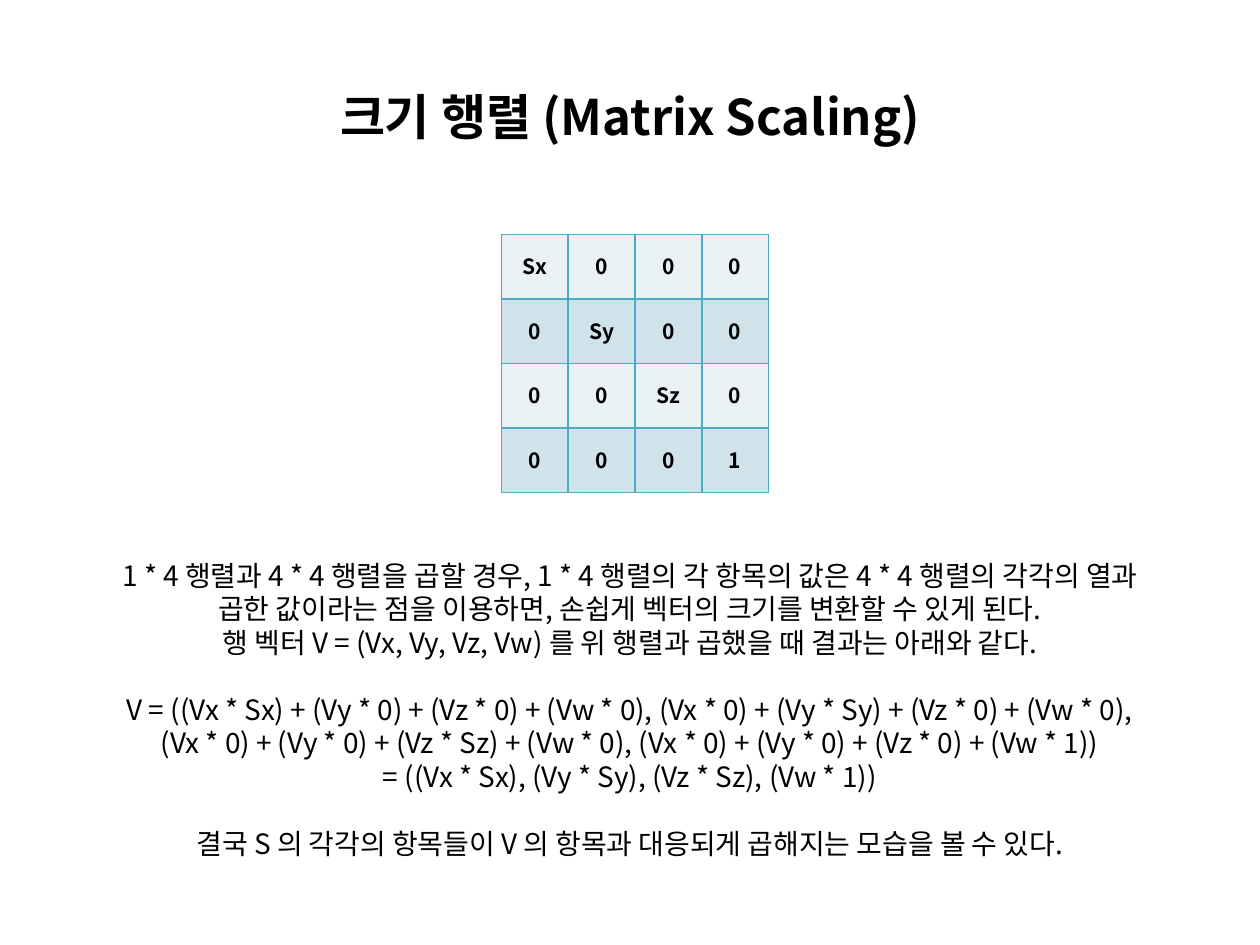
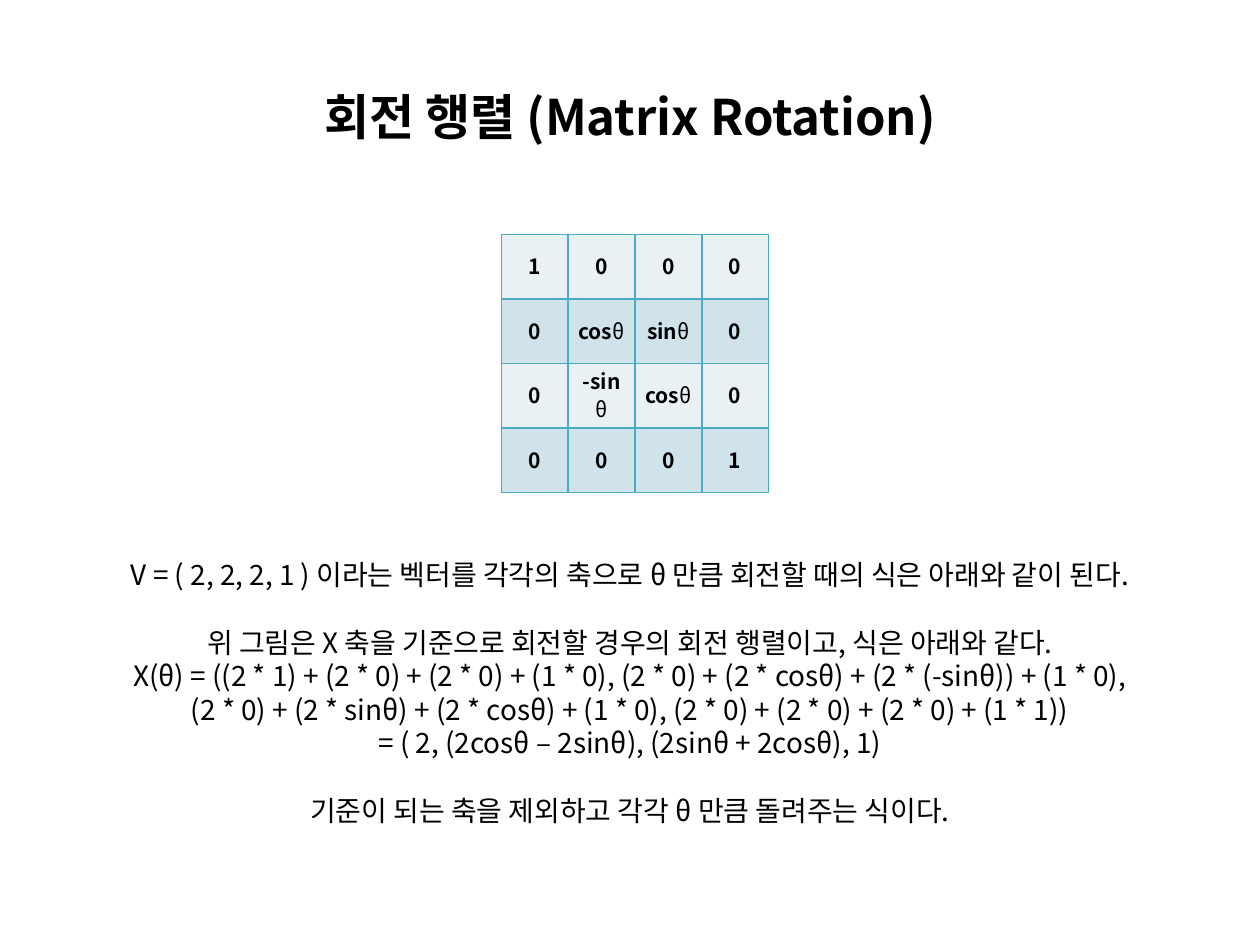
from lxml import etree
from pptx import Presentation
from pptx.dml.color import RGBColor
from pptx.enum import text
from pptx.oxml import ns
from pptx.util import Inches, Pt

FONT = "Noto Sans CJK KR"
BLACK = "000000"
GRID = "4BACC6"
BANDS = ("E9F1F5", "D0E3EA")
CELL = {"size": 12, "leading": 16, "bold": True}
TITLE = {"size": 28, "leading": 36, "bold": True}
BODY = {"size": 16, "leading": 19.2, "bold": False}

SCALING = {
    "title": "크기 행렬 (Matrix Scaling)",
    "matrix": ["Sx 0 0 0", "0 Sy 0 0", "0 0 Sz 0", "0 0 0 1"],
    "height": 2.52,
    "blocks": [
        [
            "1 * 4 행렬과 4 * 4 행렬을 곱할 경우, 1 * 4 행렬의 각 항목의 값은 4 * 4 행렬의 각각의 열과",
            "곱한 값이라는 점을 이용하면, 손쉽게 벡터의 크기를 변환할 수 있게 된다.",
            "행 벡터 V = (Vx, Vy, Vz, Vw) 를 위 행렬과 곱했을 때 결과는 아래와 같다.",
        ],
        [
            "V = ((Vx * Sx) + (Vy * 0) + (Vz * 0) + (Vw * 0), (Vx * 0) + (Vy * Sy) + (Vz * 0) + (Vw * 0),",
            "(Vx * 0) + (Vy * 0) + (Vz * Sz) + (Vw * 0), (Vx * 0) + (Vy * 0) + (Vz * 0) + (Vw * 1))",
            "= ((Vx * Sx), (Vy * Sy), (Vz * Sz), (Vw * 1))",
        ],
        ["결국 S 의 각각의 항목들이 V 의 항목과 대응되게 곱해지는 모습을 볼 수 있다."],
    ],
}
ROTATION = {
    "title": "회전 행렬 (Matrix Rotation)",
    "matrix": ["1 0 0 0", "0 cosθ sinθ 0", "0 -sinθ cosθ 0", "0 0 0 1"],
    "height": 2.26,
    "blocks": [
        ["V = ( 2, 2, 2, 1 ) 이라는 벡터를 각각의 축으로 θ 만큼 회전할 때의 식은 아래와 같이 된다."],
        [
            "위 그림은 X 축을 기준으로 회전할 경우의 회전 행렬이고, 식은 아래와 같다.",
            "X(θ) = ((2 * 1) + (2 * 0) + (2 * 0) + (1 * 0), (2 * 0) + (2 * cosθ) + (2 * (-sinθ)) + (1 * 0),",
            "(2 * 0) + (2 * sinθ) + (2 * cosθ) + (1 * 0), (2 * 0) + (2 * 0) + (2 * 0) + (1 * 1))",
            "= ( 2, (2cosθ – 2sinθ), (2sinθ + 2cosθ), 1)",
        ],
        ["기준이 되는 축을 제외하고 각각 θ 만큼 돌려주는 식이다."],
    ],
}


def color(value):
    return RGBColor.from_string(value)


def set_attributes(target, values):
    for name, value in values.items():
        setattr(target, name, value)


def add_run(paragraph, words, size, bold):
    run = paragraph.add_run()
    run.text = words
    set_attributes(run.font, {"name": FONT, "size": Pt(size), "bold": bold})
    run.font.color.rgb = color(BLACK)
    east_asian = etree.SubElement(run.font._element, ns.qn("a:ea"))
    east_asian.set("typeface", FONT)


def format_paragraph(paragraph, style, gap=0):
    set_attributes(paragraph, {
        "alignment": text.PP_ALIGN.CENTER,
        "line_spacing": Pt(style["leading"]),
        "space_before": Pt(gap),
        "space_after": Pt(0),
    })


def format_frame(frame):
    set_attributes(frame, {
        "word_wrap": True,
        "auto_size": text.MSO_AUTO_SIZE.NONE,
        "vertical_anchor": text.MSO_ANCHOR.TOP,
    })


def add_title(slide, words):
    title = slide.shapes.title
    set_attributes(title, {
        "left": Inches(0), "top": Inches(0.6),
        "width": Inches(10), "height": Inches(0.57),
    })
    format_frame(title.text_frame)
    paragraph = title.text_frame.paragraphs[0]
    format_paragraph(paragraph, TITLE)
    add_run(paragraph, words, TITLE["size"], TITLE["bold"])


def add_borders(cell):
    properties = cell._tc.get_or_add_tcPr()
    for side in ("lnL", "lnR", "lnT", "lnB"):
        line = etree.SubElement(properties, ns.qn(f"a:{side}"), w=str(Pt(1)))
        fill = etree.SubElement(line, ns.qn("a:solidFill"))
        etree.SubElement(fill, ns.qn("a:srgbClr"), val=GRID)


def fill_cell(cell, words, background):
    set_attributes(cell, {
        "vertical_anchor": text.MSO_ANCHOR.MIDDLE,
        "margin_left": Inches(0.07), "margin_right": Inches(0.07),
        "margin_top": Inches(0.03), "margin_bottom": Inches(0.03),
    })
    add_borders(cell)
    cell.fill.solid()
    cell.fill.fore_color.rgb = color(background)
    paragraph = cell.text_frame.paragraphs[0]
    format_paragraph(paragraph, CELL)
    name, angle, _ = words.partition("θ")
    add_run(paragraph, name, CELL["size"], CELL["bold"])
    if angle:
        add_run(paragraph, angle, CELL["size"], False)


def add_matrix(slide, rows):
    frame = slide.shapes.add_table(
        4, 4, Inches(3.98), Inches(1.86), Inches(2.12), Inches(2.05))
    table = frame.table
    set_attributes(table, {"first_row": False, "horz_banding": False})
    for row_index, row in enumerate(rows):
        for column_index, words in enumerate(row.split()):
            cell = table.cell(row_index, column_index)
            fill_cell(cell, words, BANDS[row_index % 2])


def add_body(slide, blocks, height):
    box = slide.shapes.add_textbox(
        Inches(0), Inches(4.38), Inches(10), Inches(height))
    frame = box.text_frame
    format_frame(frame)
    for block_index, block in enumerate(blocks):
        for line_index, words in enumerate(block):
            first = block_index == line_index == 0
            paragraph = frame.paragraphs[0] if first else frame.add_paragraph()
            gap = BODY["leading"] if block_index and not line_index else 0
            format_paragraph(paragraph, BODY, gap)
            add_run(paragraph, words, BODY["size"], BODY["bold"])


def add_matrix_slide(presentation, content):
    slide = presentation.slides.add_slide(presentation.slide_layouts[5])
    add_title(slide, content["title"])
    add_matrix(slide, content["matrix"])
    add_body(slide, content["blocks"], content["height"])


def main():
    presentation = Presentation()
    set_attributes(presentation, {
        "slide_width": Inches(10), "slide_height": Inches(7.5)})
    for content in (SCALING, ROTATION):
        add_matrix_slide(presentation, content)
    presentation.save("out.pptx")


main()
